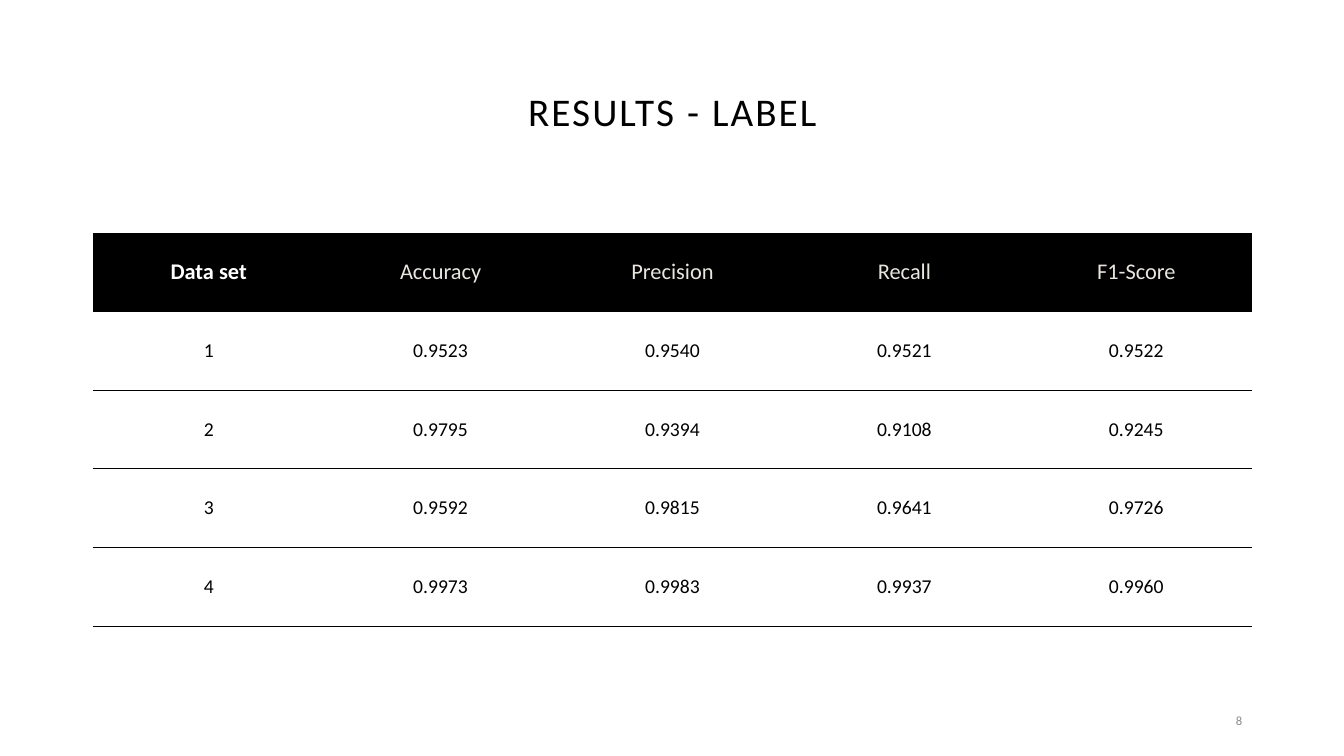
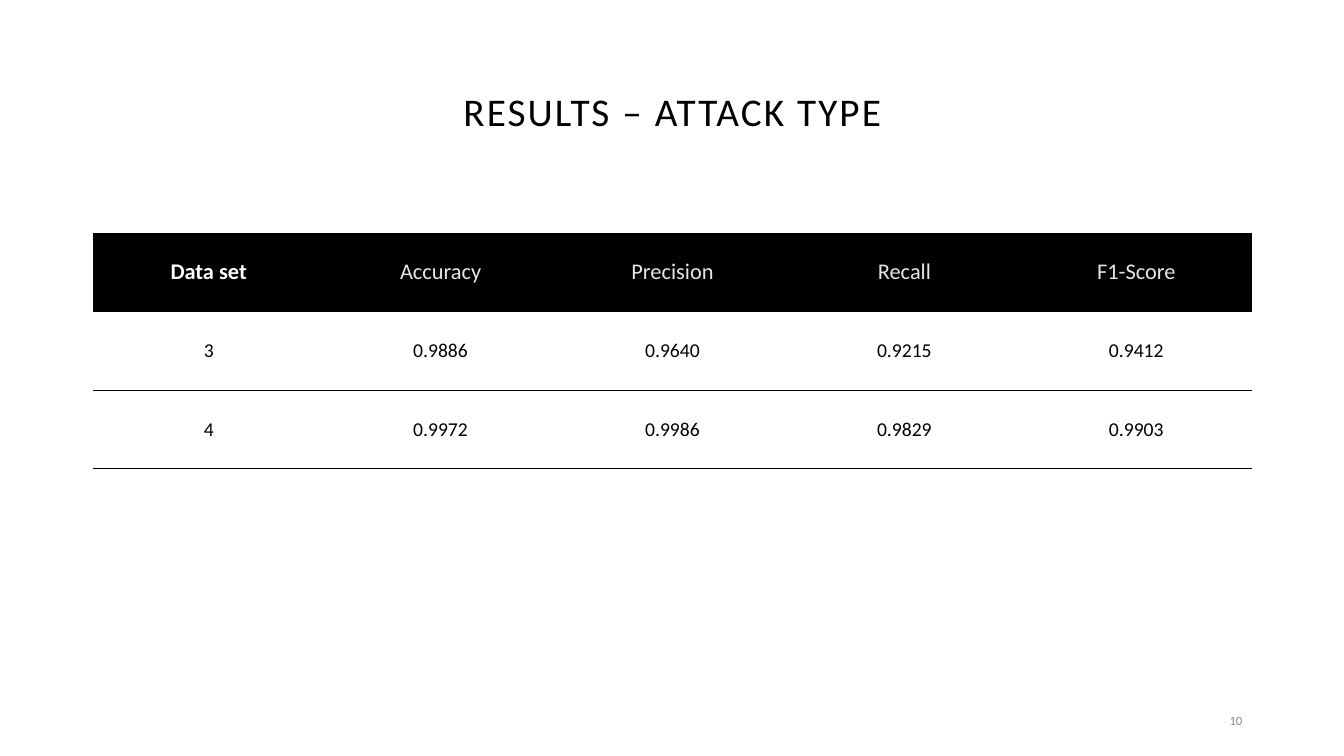
from dataclasses import dataclass

from lxml.etree import SubElement
from pptx import Presentation
from pptx.dml.color import RGBColor
from pptx.enum.text import MSO_ANCHOR as Anchor, MSO_AUTO_SIZE as AutoSize, PP_ALIGN as Align
from pptx.oxml.ns import qn
from pptx.slide import Slide
from pptx.table import Table, _Cell as Cell
from pptx.text.text import TextFrame, _Paragraph as Paragraph
from pptx.util import Inches, Pt

BLACK = RGBColor(0x00, 0x00, 0x00)
WHITE = RGBColor(0xFF, 0xFF, 0xFF)
IVORY = RGBColor(0xE9, 0xE6, 0xDF)
GRAY = RGBColor(0x8C, 0x8C, 0x8C)
FONT = "Calibri"

SLIDE_WIDTH, SLIDE_HEIGHT = 13.33, 7.5
TABLE_WIDTH = 11.5
MARGIN = round((SLIDE_WIDTH - TABLE_WIDTH) / 2, 2)
TITLE_TOP, TITLE_HEIGHT = 0.4, 1.45
TABLE_TOP, ROW_HEIGHT = 2.31, 0.78
NUMBER_TOP, NUMBER_WIDTH, NUMBER_HEIGHT = 6.95, 3, 0.4

TITLE_ONLY_LAYOUT = 5
PLAIN_TABLE_STYLE = "{2D5ABB26-0587-4C30-8999-92F81FD0307C}"
HEADINGS = ("Data set", "Accuracy", "Precision", "Recall", "F1-Score")


@dataclass(frozen=True)
class ResultPage:
    title: str
    number: int
    rows: tuple[tuple[str, ...], ...]


PAGES = (
    ResultPage("RESULTS - LABEL", 8, (
        ("1", "0.9523", "0.9540", "0.9521", "0.9522"),
        ("2", "0.9795", "0.9394", "0.9108", "0.9245"),
        ("3", "0.9592", "0.9815", "0.9641", "0.9726"),
        ("4", "0.9973", "0.9983", "0.9937", "0.9960"),
    )),
    ResultPage("RESULTS – ATTACK TYPE", 10, (
        ("3", "0.9886", "0.9640", "0.9215", "0.9412"),
        ("4", "0.9972", "0.9986", "0.9829", "0.9903"),
    )),
)


def write(frame: TextFrame, text: str, size: float, color: RGBColor,
          align: Align = Align.CENTER, bold: bool = False) -> Paragraph:
    """Fill a text frame with one formatted paragraph and return it."""
    frame.text = text
    paragraph = frame.paragraphs[0]
    paragraph.alignment = align
    font = paragraph.font
    font.name, font.size, font.bold = FONT, Pt(size), bold
    font.color.rgb = color
    return paragraph


def add_title(slide: Slide, text: str) -> None:
    title = slide.shapes.title
    title.left, title.top = Inches(MARGIN), Inches(TITLE_TOP)
    title.width, title.height = Inches(TABLE_WIDTH), Inches(TITLE_HEIGHT)
    frame = title.text_frame
    frame.auto_size = AutoSize.NONE
    frame.vertical_anchor = Anchor.MIDDLE
    paragraph = write(frame, text, 28, BLACK)
    paragraph.line_spacing = 0.9
    letter_spacing = str(150)
    paragraph._p.pPr.find(qn("a:defRPr")).set("spc", letter_spacing)


def add_rules(cell: Cell) -> None:
    """Draw thin black lines above and below a cell."""
    properties = cell._tc.get_or_add_tcPr()
    for position, tag in enumerate(("a:lnT", "a:lnB")):
        line = SubElement(properties, qn(tag), w=str(Pt(0.5)))
        fill = SubElement(line, qn("a:solidFill"))
        SubElement(fill, qn("a:srgbClr"), val=str(BLACK))
        properties.insert(position, line)


def fill_row(table: Table, row: int, texts: tuple[str, ...]) -> None:
    table.rows[row].height = Inches(ROW_HEIGHT)
    is_header = row == 0
    for column, text in enumerate(texts):
        cell = table.cell(row, column)
        cell.vertical_anchor = Anchor.MIDDLE
        cell.fill.solid()
        cell.fill.fore_color.rgb = BLACK if is_header else WHITE
        is_corner = is_header and column == 0
        if is_header:
            color = WHITE if is_corner else IVORY
        else:
            color = BLACK
        write(cell.text_frame, text, 16 if is_header else 14, color, bold=is_corner)
        add_rules(cell)


def add_results(slide: Slide, rows: tuple[tuple[str, ...], ...]) -> None:
    lines = (HEADINGS, *rows)
    frame = slide.shapes.add_table(
        len(lines), len(HEADINGS), Inches(MARGIN), Inches(TABLE_TOP),
        Inches(TABLE_WIDTH), Inches(ROW_HEIGHT * len(lines)))
    table = frame.table
    table.horz_banding = False
    table._tbl.tblPr.find(qn("a:tableStyleId")).text = PLAIN_TABLE_STYLE
    for row, texts in enumerate(lines):
        fill_row(table, row, texts)


def add_page_number(slide: Slide, number: int) -> None:
    box = slide.shapes.add_textbox(
        Inches(MARGIN + TABLE_WIDTH - NUMBER_WIDTH), Inches(NUMBER_TOP),
        Inches(NUMBER_WIDTH), Inches(NUMBER_HEIGHT))
    frame = box.text_frame
    frame.word_wrap = True
    frame.vertical_anchor = Anchor.MIDDLE
    write(frame, str(number), 9, GRAY, Align.RIGHT)


def main() -> None:
    deck = Presentation()
    deck.slide_width, deck.slide_height = Inches(SLIDE_WIDTH), Inches(SLIDE_HEIGHT)
    for page in PAGES:
        slide = deck.slides.add_slide(deck.slide_layouts[TITLE_ONLY_LAYOUT])
        add_title(slide, page.title)
        add_results(slide, page.rows)
        add_page_number(slide, page.number)
    deck.save("out.pptx")


if __name__ == "__main__":
    main()
